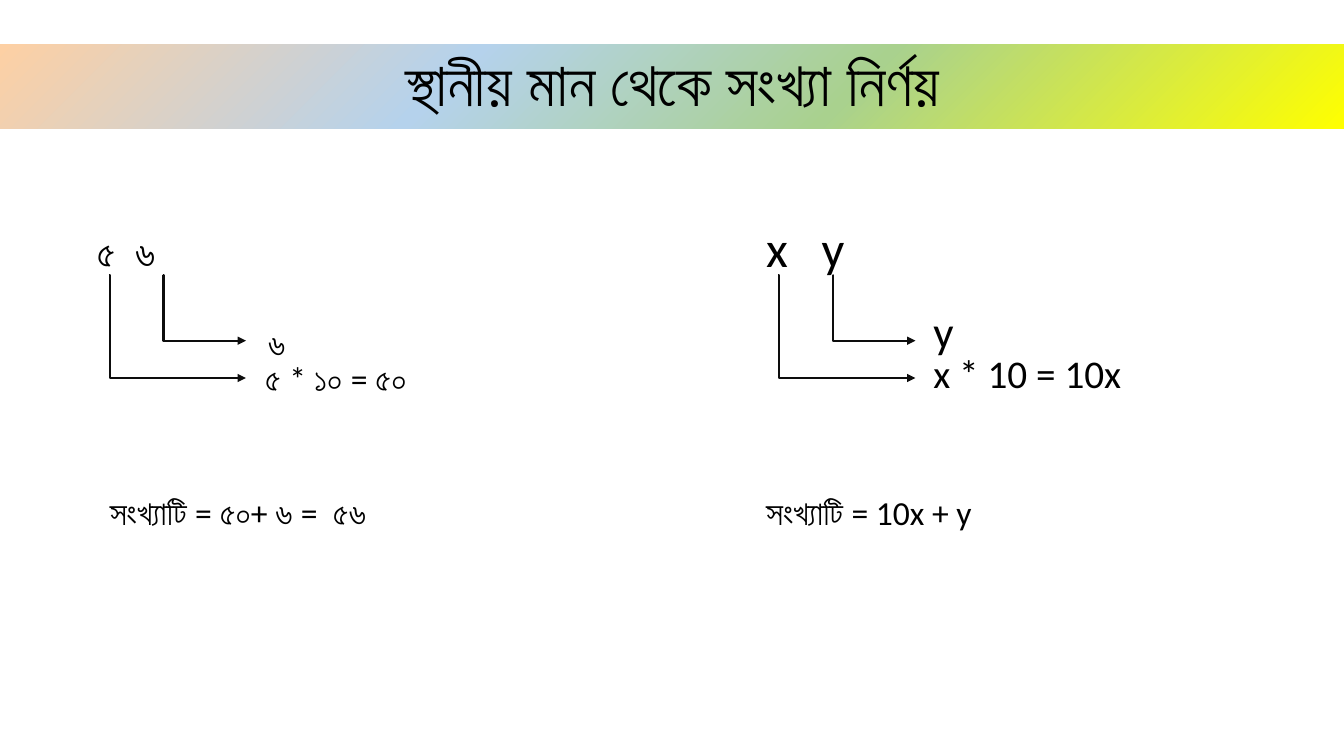
import lxml.etree
import pptx
import pptx.dml.color
import pptx.enum.shapes
import pptx.enum.text
import pptx.oxml.ns
import pptx.util

Inches = pptx.util.Inches
qn = pptx.oxml.ns.qn
BLACK = "000000"
ARROW = "0D0D0D"
BANNER_STOPS = [(0, "FFFF00"), (37, "A9D18E"), (66, "B5D2EC"), (100, "FDD0A4")]


def color(value):
    """Return the colour for a hex string."""
    return pptx.dml.color.RGBColor.from_string(value)


def add_element(parent, tag, **attributes):
    """Append a DrawingML element to its parent."""
    return lxml.etree.SubElement(parent, qn(tag), attributes)


def format_text(paragraph, size):
    """Set font, size and colour on every run."""
    for run in paragraph.runs:
        run.font.name = "Calibri"
        run.font.size = pptx.util.Pt(size)
        run.font.color.rgb = color(BLACK)


def add_label(shapes, left, top, width, height, text, size, tab=None):
    """Add a one-line text box, with an optional tab stop in inches."""
    label = shapes.add_textbox(Inches(left), Inches(top), Inches(width), Inches(height))
    label.text_frame.word_wrap = True
    paragraph = label.text_frame.paragraphs[0]
    paragraph.text = text
    format_text(paragraph, size)
    if tab:
        tabs = add_element(paragraph._p.get_or_add_pPr(), "a:tabLst")
        add_element(tabs, "a:tab", pos=str(Inches(tab)), algn="l")


def add_bent_arrow(shapes, left, top, width, height, bend):
    """Add an arrow that drops down and then runs right."""
    arrow = shapes.add_connector(
        pptx.enum.shapes.MSO_CONNECTOR.ELBOW,
        Inches(left), Inches(top), Inches(left + width), Inches(top + height))
    arrow.line.color.rgb = color(ARROW)
    arrow.line.width = pptx.util.Pt(1.5)
    properties = arrow._element.spPr
    adjustments = properties.find(qn("a:prstGeom")).get_or_add_avLst()
    add_element(adjustments, "a:gd", name="adj1", fmla=f"val {bend}")
    add_element(properties.find(qn("a:ln")), "a:tailEnd", type="triangle")
    add_element(properties, "a:effectLst")


def add_banner(slide, left, top, width, height, text):
    """Add the title on a band with a radial gradient."""
    banner = slide.shapes.add_shape(
        pptx.enum.shapes.MSO_SHAPE.RECTANGLE,
        Inches(left), Inches(top), Inches(width), Inches(height))
    banner.shadow.inherit = False
    banner.line.fill.background()
    banner.fill.gradient()
    gradient = banner._element.spPr.find(qn("a:gradFill"))
    for child in list(gradient):
        gradient.remove(child)
    stops = add_element(gradient, "a:gsLst")
    for position, value in BANNER_STOPS:
        stop = add_element(stops, "a:gs", pos=str(position * 1000))
        add_element(stop, "a:srgbClr", val=value)
    circle = add_element(gradient, "a:path", path="circle")
    add_element(circle, "a:fillToRect", l="100000", t="100000")
    frame = banner.text_frame
    frame.word_wrap = True
    frame.vertical_anchor = pptx.enum.text.MSO_ANCHOR.MIDDLE
    frame.margin_left = frame.margin_right = Inches(0.13)
    frame.margin_top = frame.margin_bottom = Inches(0.13)
    paragraph = frame.paragraphs[0]
    paragraph.text = text
    paragraph.alignment = pptx.enum.text.PP_ALIGN.CENTER
    paragraph.line_spacing = 0.9
    format_text(paragraph, 44)


def add_place_values(slide, left, top, number, units, tens):
    """Add a two-digit number with arrows to its place values."""
    shapes = slide.shapes.add_group_shape().shapes
    for label_left, label_top, *rest in (number, units, tens):
        add_label(shapes, left + label_left, top + label_top, *rest)
    add_bent_arrow(shapes, left + 0.54, top, 0.82, 0.65, 200)
    add_bent_arrow(shapes, left, top, 1.36, 1.02, 800)


def main():
    """Build and save the slide."""
    presentation = pptx.Presentation()
    presentation.slide_width = Inches(13.33)
    presentation.slide_height = Inches(7.5)
    slide = presentation.slides.add_slide(presentation.slide_layouts[6])
    add_banner(slide, 0, 0.44, 13.33, 0.84, "স্থানীয় মান থেকে সংখ্যা নির্ণয়")
    add_place_values(
        slide, 1.08, 2.73,
        (-0.22, -0.51, 2.07, 0.57, "৫\t৬", 28, 0.38),
        (1.48, 0.42, 0.43, 0.5, "৬", 24),
        (1.45, 0.77, 2.44, 0.5, "৫ * ১০ = ৫০", 24))
    add_label(slide.shapes, 0.99, 4.83, 4.55, 0.5, "সংখ্যাটি = ৫০+ ৬ =\t৫৬", 24, 2.21)
    add_place_values(
        slide, 7.72, 2.73,
        (-0.22, -0.63, 2.07, 0.71, "x\ty", 36, 0.55),
        (1.44, 0.23, 0.43, 0.64, "y", 32),
        (1.44, 0.69, 3.46, 0.57, "x * 10 = 10x", 28))
    add_label(slide.shapes, 7.5, 4.83, 4.55, 0.5, "সংখ্যাটি = 10x + y", 24)
    presentation.save("out.pptx")


if __name__ == "__main__":
    main()
